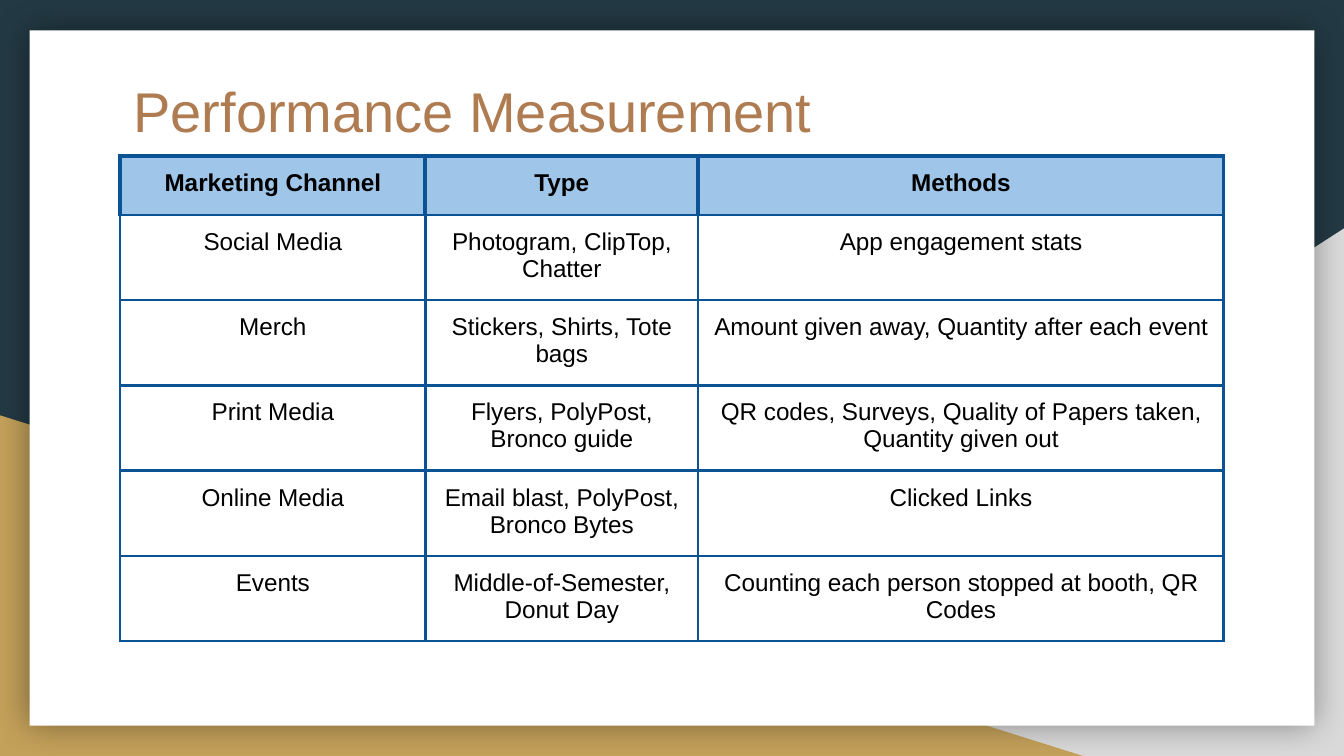
from lxml import etree
from pptx import Presentation, util as u
from pptx.dml.color import RGBColor
from pptx.enum import shapes, text
from pptx.oxml.ns import qn

NAVY = RGBColor(0x23, 0x3A, 0x44)
GREY = RGBColor(0xD9, 0xD9, 0xD9)
GOLD = RGBColor(0xC4, 0xA1, 0x5A)
WHITE = RGBColor(0xFF, 0xFF, 0xFF)
BRONZE = RGBColor(0xAF, 0x7B, 0x51)
BLACK = RGBColor(0, 0, 0)
SKY = RGBColor(0x9F, 0xC5, 0xE8)
BLUE = RGBColor(0x0B, 0x53, 0x94)

COLUMNS, ROWS = 100, 56.25
CHANNELS = [
    ("Marketing Channel", "Type", "Methods"),
    ("Social Media", "Photogram, ClipTop, Chatter", "App engagement stats"),
    ("Merch", "Stickers, Shirts, Tote bags",
     "Amount given away, Quantity after each event"),
    ("Print Media", "Flyers, PolyPost, Bronco guide",
     "QR codes, Surveys, Quality of Papers taken, Quantity given out"),
    ("Online Media", "Email blast, PolyPost, Bronco Bytes", "Clicked Links"),
    ("Events", "Middle-of-Semester, Donut Day",
     "Counting each person stopped at booth, QR Codes"),
]


def write(frame, words, size=13, color=BLACK, bold=False, align=text.PP_ALIGN.LEFT):
    paragraph = frame.paragraphs[0]
    paragraph.alignment = align
    run = paragraph.add_run()
    run.text = words
    run.font.name = "Arial"
    run.font.size = u.Pt(size)
    run.font.bold = bold
    run.font.color.rgb = color


def pad(holder):
    for side in ("left", "top", "right", "bottom"):
        setattr(holder, f"margin_{side}", u.Inches(0.1))


class Deck:
    def __init__(self, background):
        self.presentation = Presentation()
        self.presentation.slide_width = u.Inches(10)
        self.presentation.slide_height = u.Inches(ROWS / 10)
        self.slide = self.presentation.slides.add_slide(
            self.presentation.slide_layouts[6])
        self.slide.background.fill.solid()
        self.slide.background.fill.fore_color.rgb = background

    def across(self, columns):
        return round(self.presentation.slide_width * columns / COLUMNS)

    def down(self, rows):
        return round(self.presentation.slide_height * rows / ROWS)

    def place(self, left, top, width, height):
        return (self.across(left), self.down(top),
                self.across(width), self.down(height))

    def shape(self, preset, spot, color, flip=False, glow=False):
        shape = self.slide.shapes.add_shape(preset, *self.place(*spot))
        shape.fill.solid()
        shape.fill.fore_color.rgb = color
        shape.line.fill.background()
        shape.shadow.inherit = False
        properties = shape.element.spPr
        if flip:
            properties.find(qn("a:xfrm")).set("flipH", "1")
        if glow:
            shadow = etree.SubElement(
                properties.find(qn("a:effectLst")), qn("a:outerShdw"),
                blurRad=str(u.Pt(18)), dist="0", dir="0", algn="ctr", rotWithShape="0")
            tint = etree.SubElement(shadow, qn("a:srgbClr"), val=str(BLACK))
            etree.SubElement(tint, qn("a:alpha"), val="40000")

    def title(self, words, spot):
        frame = self.slide.shapes.add_textbox(*self.place(*spot)).text_frame
        frame.word_wrap = True
        pad(frame)
        write(frame, words, size=30, color=BRONZE)

    def border(self, cell, side, width):
        line = etree.SubElement(cell._tc.get_or_add_tcPr(), qn(f"a:ln{side}"),
                                w=str(u.Pt(width)))
        fill = etree.SubElement(line, qn("a:solidFill"))
        etree.SubElement(fill, qn("a:srgbClr"), val=str(BLUE))

    def table(self, records, left, top, widths, heights):
        spot = self.place(left, top, sum(widths), sum(heights))
        table = self.slide.shapes.add_table(len(heights), len(widths), *spot).table
        table.first_row = table.horz_banding = False
        for column, width in zip(table.columns, widths):
            column.width = self.across(width)
        for index, (row, height, record) in enumerate(zip(table.rows, heights, records)):
            row.height = self.down(height)
            header = index == 0
            for cell, words in zip(row.cells, record):
                pad(cell)
                for side in "LRTB":
                    self.border(cell, side, 2.25 if header and side != "B" else 1.5)
                if header:
                    cell.fill.solid()
                    cell.fill.fore_color.rgb = SKY
                else:
                    cell.fill.background()
                write(cell.text_frame, words, bold=header, align=text.PP_ALIGN.CENTER)


def main():
    deck = Deck(NAVY)
    triangle = shapes.MSO_SHAPE.RIGHT_TRIANGLE
    deck.shape(triangle, (39.2, 17, 60.8, 39.25), GREY, flip=True)
    deck.shape(triangle, (0, 30.9, 80.6, 25.35), GOLD)
    deck.shape(shapes.MSO_SHAPE.RECTANGLE, (2.2, 2.25, 95.6, 51.75), WHITE, glow=True)
    deck.title("Performance Measurement", (8.95, 4.7, 82.1, 10.4))
    deck.table(CHANNELS, 8.95, 11.6, (22.7, 20.3, 39.1), [4.4] + [6.03] * 4 + [4.4])
    deck.presentation.save("out.pptx")


if __name__ == "__main__":
    main()
